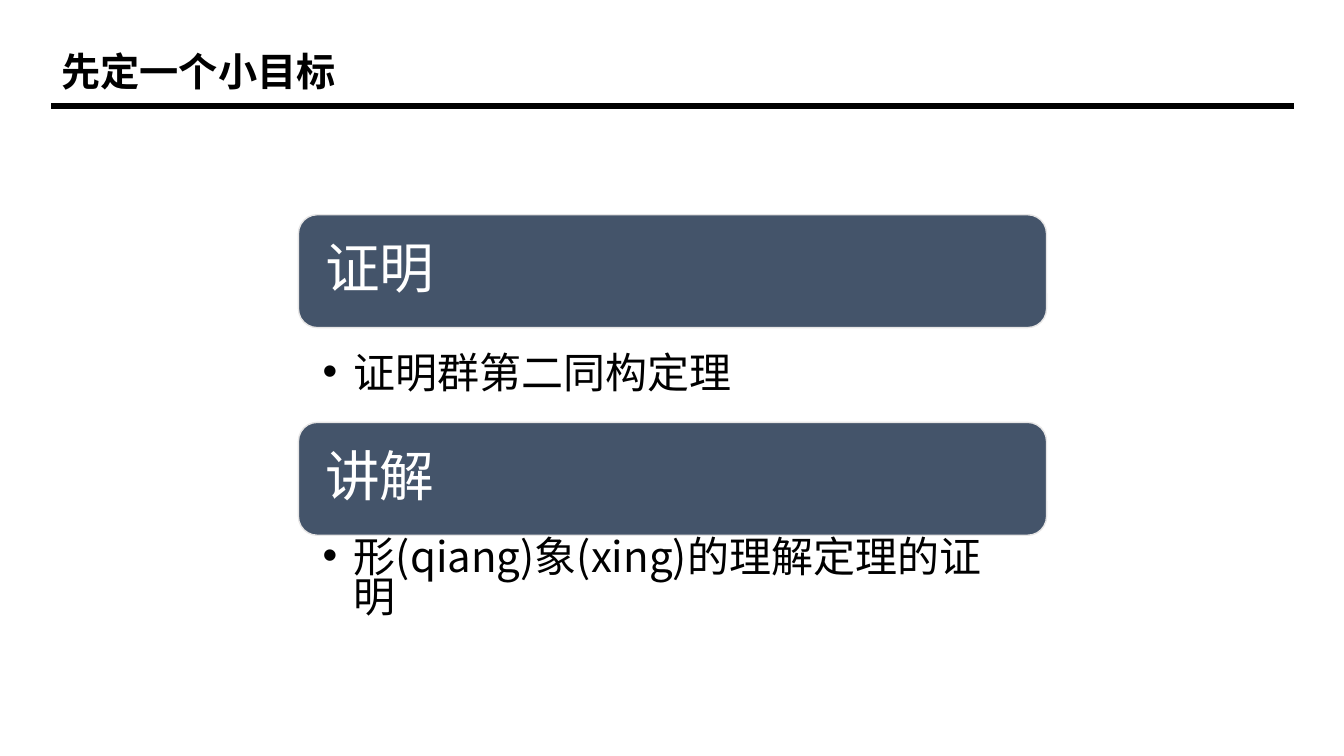
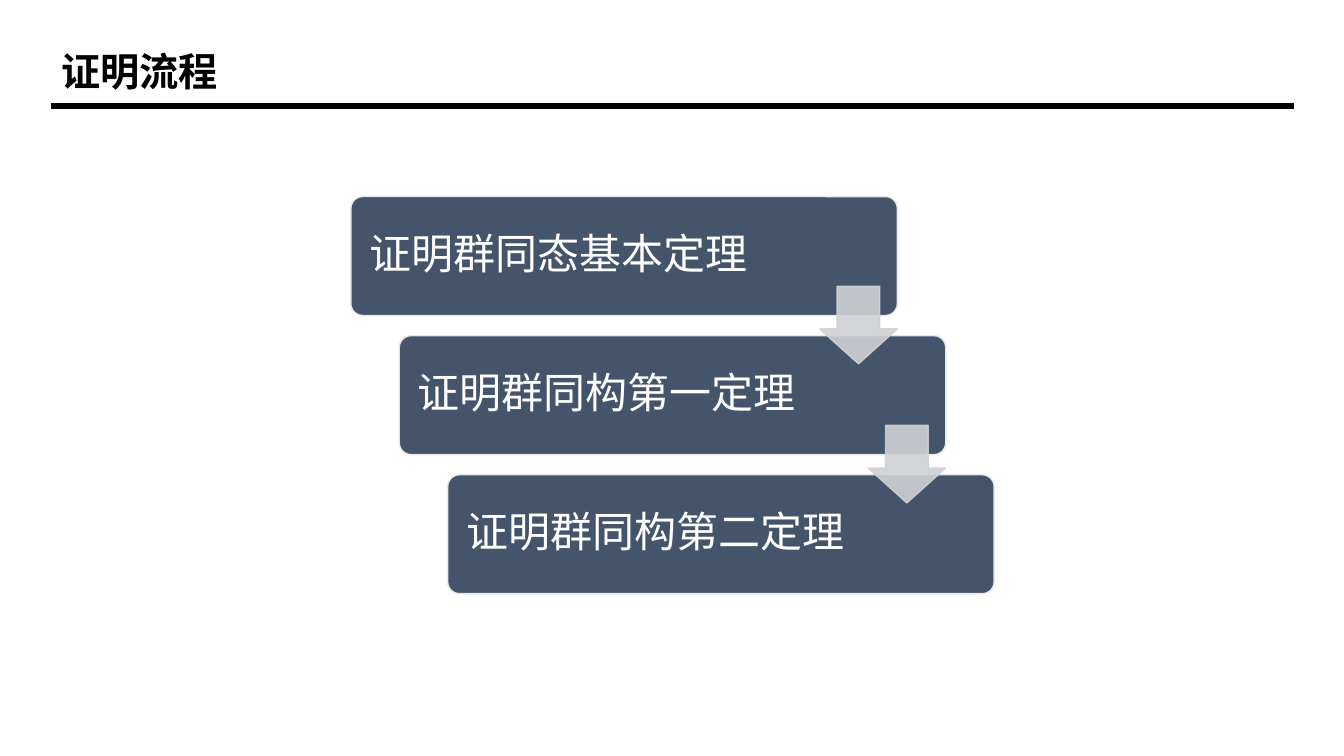
from dataclasses import dataclass

from lxml import etree
from pptx import Presentation
from pptx.dml.color import RGBColor
from pptx.enum.shapes import MSO_CONNECTOR, MSO_SHAPE
from pptx.enum.text import MSO_ANCHOR, MSO_AUTO_SIZE, PP_ALIGN
from pptx.oxml.ns import qn
from pptx.util import Inches, Pt

ROUNDED = MSO_SHAPE.ROUNDED_RECTANGLE
DOWN_ARROW = MSO_SHAPE.DOWN_ARROW
STRAIGHT = MSO_CONNECTOR.STRAIGHT
TOP, MIDDLE = MSO_ANCHOR.TOP, MSO_ANCHOR.MIDDLE
LEFT = PP_ALIGN.LEFT
NO_AUTOFIT = MSO_AUTO_SIZE.NONE

TWO_CONTENT_LAYOUT, TITLE_ONLY_LAYOUT = 3, 5


@dataclass(frozen=True)
class Theme:
    font: str = "Noto Sans CJK SC"
    ink: RGBColor = RGBColor(0x00, 0x00, 0x00)
    paper: RGBColor = RGBColor(0xFF, 0xFF, 0xFF)
    bar: RGBColor = RGBColor(0x44, 0x54, 0x6A)
    bar_edge: RGBColor = RGBColor(0xE7, 0xE6, 0xE6)
    arrow: RGBColor = RGBColor(0xCF, 0xD1, 0xD4)
    title_size: int = 28
    heading_size: int = 39
    body_size: int = 30
    rule_width: float = 4.5
    edge_width: float = 1


THEME = Theme()


def place(shape, left, top, width, height):
    shape.left, shape.top = Inches(left), Inches(top)
    shape.width, shape.height = Inches(width), Inches(height)


def write_text(shape, text, *, size, color=THEME.ink, bold=False, anchor=MIDDLE,
               insets=(0.1, 0.05, 0.1, 0.05), line_spacing=1.0, bullet_indent=None):
    """Fill a shape with one paragraph; insets run left, top, right, bottom."""
    frame = shape.text_frame
    frame.word_wrap = True
    frame.auto_size = NO_AUTOFIT
    frame.vertical_anchor = anchor
    (frame.margin_left, frame.margin_top,
     frame.margin_right, frame.margin_bottom) = map(Inches, insets)
    paragraph = frame.paragraphs[0]
    paragraph.alignment = LEFT
    paragraph.line_spacing = line_spacing
    paragraph.space_before = Pt(0)
    if bullet_indent is not None:
        properties = paragraph._p.get_or_add_pPr()
        properties.set("marL", str(Inches(bullet_indent)))
        properties.set("indent", str(-Inches(bullet_indent)))
        etree.SubElement(properties, qn("a:buChar")).set("char", "•")
    run = paragraph.add_run()
    run.text = text
    run.font.size = Pt(size)
    run.font.bold = bold
    run.font.color.rgb = color
    run.font.name = THEME.font
    east_asian = etree.SubElement(run._r.get_or_add_rPr(), qn("a:ea"))
    east_asian.set("typeface", THEME.font)


def add_filled_shape(slide, kind, box, fill, edge, adjustments=()):
    shape = slide.shapes.add_shape(kind, *map(Inches, box))
    shape.shadow.inherit = False
    shape.fill.solid()
    shape.fill.fore_color.rgb = fill
    shape.line.color.rgb = edge
    shape.line.width = Pt(THEME.edge_width)
    for index, value in enumerate(adjustments):
        shape.adjustments[index] = value
    return shape


def add_bar(slide, box, text, *, size, inset, adjustments=()):
    bar = add_filled_shape(slide, ROUNDED, box, THEME.bar, THEME.bar_edge, adjustments)
    write_text(bar, text, size=size, color=THEME.paper, insets=(inset,) * 4, line_spacing=0.9)


def add_step_arrow(slide, box):
    arrow = add_filled_shape(slide, DOWN_ARROW, box, THEME.arrow, THEME.arrow, (0.55, 0.45))
    for color in arrow._element.spPr.iter(qn("a:srgbClr")):
        etree.SubElement(color, qn("a:alpha")).set("val", "90000")


def add_titled_slide(presentation, layout, title):
    slide = presentation.slides.add_slide(presentation.slide_layouts[layout])
    place(slide.shapes.title, 0.51, 0.42, 3.18, 0.57)
    write_text(slide.shapes.title, title, size=THEME.title_size, bold=True)
    rule = slide.shapes.add_connector(
        STRAIGHT, Inches(0.51), Inches(1.05), Inches(12.83), Inches(1.05))
    rule.line.color.rgb = THEME.ink
    rule.line.width = Pt(THEME.rule_width)
    etree.SubElement(rule._element.spPr, qn("a:effectLst"))
    return slide


def add_goal(slide, placeholder, box, heading, goal, gap):
    """Put a heading bar at the top of box and its bullet list below the gap."""
    left, top, width, bar_height = box
    add_bar(slide, box, heading, size=THEME.heading_size, inset=0.21)
    place(placeholder, left, top + bar_height + gap, width, 0.71)
    write_text(placeholder, goal, size=THEME.body_size, anchor=TOP,
               insets=(0.24, 0.05, 0.3, 0.05), line_spacing=0.8, bullet_indent=0.31)


def build_goals_slide(presentation):
    slide = add_titled_slide(presentation, TWO_CONTENT_LAYOUT, "先定一个小目标")
    goals = (
        ("证明", "证明群第二同构定理", 0.23),
        ("讲解", "形(qiang)象(xing)的理解定理的证明", 0),
    )
    for index, (heading, goal, gap) in enumerate(goals):
        box = (2.96, 2.13 + 2.06 * index, 7.42, 1.12)
        add_goal(slide, slide.placeholders[index + 1], box, heading, goal, gap)


def add_staircase(slide, left, top, steps):
    """Stack bars stepping down to the right, with an arrow between neighbours."""
    width, height, arrow_size = 5.42, 1.18, 0.77
    corners = [(left + 0.48 * index, top + 1.38 * index) for index in range(len(steps))]
    for (x, y), text in zip(corners, steps):
        add_bar(slide, (x, y, width, height), text, size=THEME.body_size,
                inset=0.15, adjustments=(0.1,))
    for x, y in corners[:-1]:
        add_step_arrow(slide, (x + width - arrow_size, y + 0.89, arrow_size, arrow_size))


def build_proof_slide(presentation):
    slide = add_titled_slide(presentation, TITLE_ONLY_LAYOUT, "证明流程")
    add_staircase(slide, 3.48, 1.95,
                  ("证明群同态基本定理", "证明群同构第一定理", "证明群同构第二定理"))


def main():
    presentation = Presentation()
    presentation.slide_width, presentation.slide_height = Inches(13.33), Inches(7.5)
    build_goals_slide(presentation)
    build_proof_slide(presentation)
    presentation.save("out.pptx")


if __name__ == "__main__":
    main()
